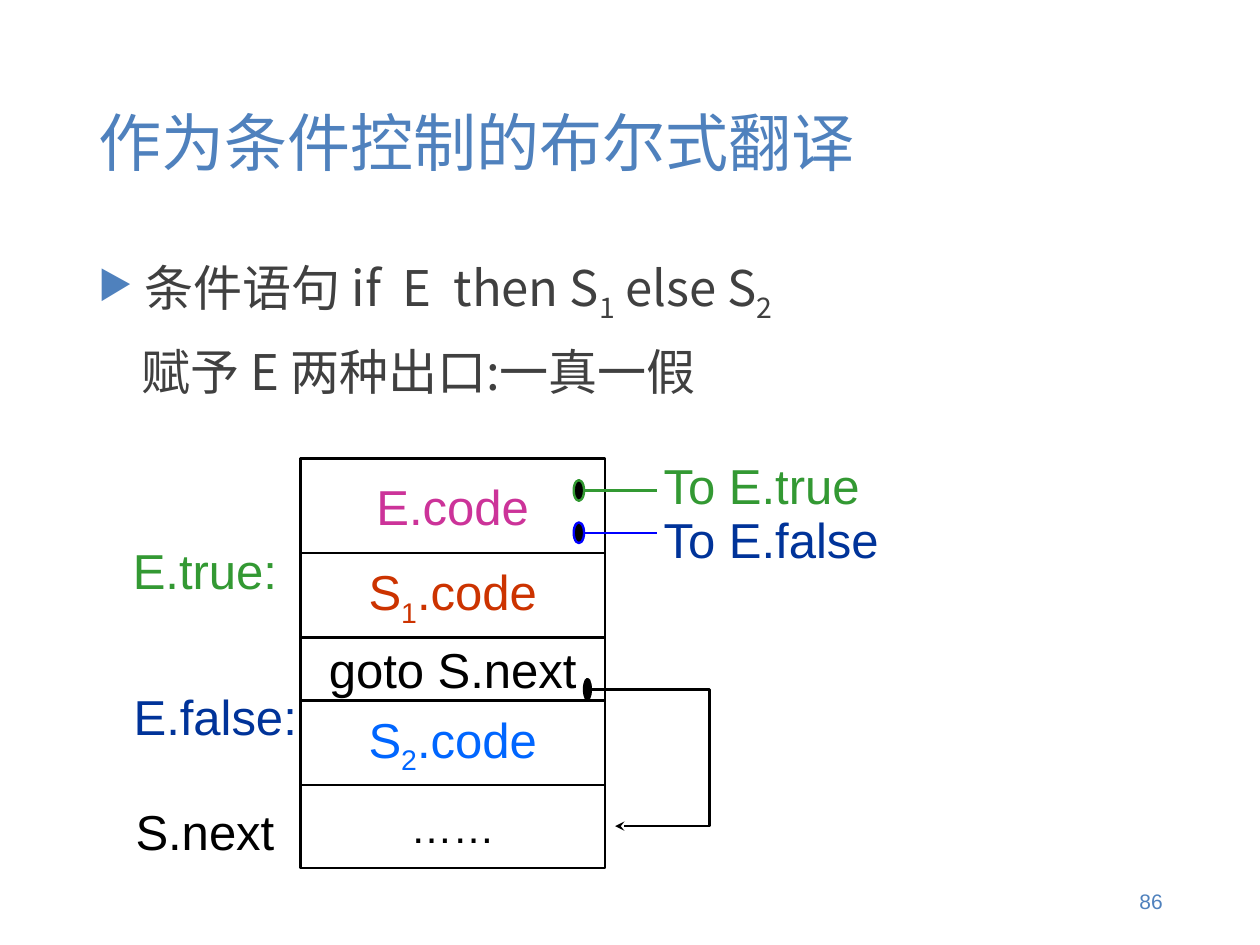
from dataclasses import dataclass

from lxml import etree
from pptx import Presentation
from pptx import util as u
from pptx.dml.color import RGBColor
from pptx.enum import shapes, text
from pptx.oxml.ns import qn


@dataclass(frozen=True)
class Theme:
    latin: str = "Arial"
    chinese: str = "Noto Sans CJK SC"
    accent: str = "4F81BD"
    body: str = "404040"
    black: str = "000000"
    green: str = "339933"
    navy: str = "003399"
    blue: str = "0000FF"
    sky: str = "0066FF"
    pink: str = "CC3399"
    red: str = "CC3300"
    title_size: float = 39.7
    main_size: float = 30.9
    dots_size: float = 26.5
    number_size: float = 13.2
    line_width: float = 1.5


THEME = Theme()
ALIGN = text.PP_ALIGN


def write(paragraph, content, size=THEME.main_size, font=THEME.latin,
          color=THEME.black, align=ALIGN.CENTER):
    """Write text; the character after each underscore is a subscript."""
    paragraph.alignment = align
    first, *rest = content.split("_")
    pieces = [(first, False)]
    for piece in rest:
        pieces += [(piece[0], True), (piece[1:], False)]
    for piece, subscript in pieces:
        if not piece:
            continue
        run = paragraph.add_run()
        run.text = piece
        run.font.size = u.Pt(size)
        run.font.name = font
        run.font.color.rgb = RGBColor.from_string(color)
        properties = run.font._element
        etree.SubElement(properties, qn("a:ea"), typeface=font)
        if subscript:
            properties.set("baseline", "-25000")


class SlideBuilder:
    def __init__(self, presentation, theme):
        self.theme = theme
        self.slide = presentation.slides.add_slide(presentation.slide_layouts[5])
        self.shapes = self.slide.shapes

    def place(self, box):
        return [u.Cm(length) for length in box]

    def outline(self, shape, color):
        shape.line.color.rgb = RGBColor.from_string(color)
        shape.line.width = u.Pt(self.theme.line_width)

    def title(self, content, box):
        shape = self.shapes.title
        shape.left, shape.top, shape.width, shape.height = self.place(box)
        frame = shape.text_frame
        frame.auto_size = text.MSO_AUTO_SIZE.NONE
        frame.vertical_anchor = text.MSO_ANCHOR.MIDDLE
        write(frame.paragraphs[0], content, size=self.theme.title_size,
              font=self.theme.chinese, color=self.theme.accent, align=ALIGN.LEFT)

    def body(self, bulleted, plain, box):
        frame = self.shapes.add_textbox(*self.place(box)).text_frame
        frame.word_wrap = True
        style = dict(font=self.theme.chinese, color=self.theme.body,
                     align=ALIGN.JUSTIFY)

        first = frame.paragraphs[0]
        properties = first._p.get_or_add_pPr()
        properties.set("marL", str(u.Cm(1.04)))
        properties.set("indent", str(u.Cm(-1.04)))
        bullet_color = etree.SubElement(properties, qn("a:buClr"))
        etree.SubElement(bullet_color, qn("a:srgbClr"), val=self.theme.accent)
        etree.SubElement(properties, qn("a:buSzPct"), val="80000")
        etree.SubElement(properties, qn("a:buChar"), char="▶")
        write(first, bulleted, **style)

        second = frame.add_paragraph()
        second._p.get_or_add_pPr().set("marL", str(u.Cm(0.97)))
        second.space_before = u.Pt(11)
        write(second, plain, **style)

    def label(self, content, box, wrap=False, **style):
        frame = self.shapes.add_textbox(*self.place(box)).text_frame
        frame.word_wrap = wrap
        frame.vertical_anchor = text.MSO_ANCHOR.MIDDLE
        write(frame.paragraphs[0], content, **style)

    def block(self, content, box, **style):
        shape = self.shapes.add_shape(shapes.MSO_SHAPE.RECTANGLE, *self.place(box))
        shape.shadow.inherit = False
        shape.fill.background()
        self.outline(shape, self.theme.black)
        frame = shape.text_frame
        frame.word_wrap = False
        frame.vertical_anchor = text.MSO_ANCHOR.MIDDLE
        write(frame.paragraphs[0], content, **style)

    def dot(self, box, color):
        shape = self.shapes.add_shape(shapes.MSO_SHAPE.OVAL, *self.place(box))
        shape.shadow.inherit = False
        shape.fill.solid()
        shape.fill.fore_color.rgb = RGBColor.from_string(self.theme.black)
        self.outline(shape, color)

    def line(self, start, end, color):
        connector = self.shapes.add_connector(
            shapes.MSO_CONNECTOR.STRAIGHT, *self.place(start + end))
        self.outline(connector, color)
        etree.SubElement(connector._element.spPr, qn("a:effectLst"))

    def arrow_path(self, points, color):
        start, *others = [self.place(point) for point in points]
        builder = self.shapes.build_freeform(*start)
        builder.add_line_segments(others, close=False)
        shape = builder.convert_to_shape()
        shape.shadow.inherit = False
        shape.fill.background()
        self.outline(shape, color)
        etree.SubElement(shape.line._get_or_add_ln(), qn("a:tailEnd"), type="stealth")


def main():
    presentation = Presentation()
    presentation.slide_width, presentation.slide_height = u.Cm(28), u.Cm(21)
    builder = SlideBuilder(presentation, THEME)

    # Title and statement
    builder.title("作为条件控制的布尔式翻译", (1.93, 1.12, 24.16, 4.06))
    builder.body("条件语句 if  E  then S_1 else S_2", "赋予 E 两种出口:一真一假",
                 (1.93, 5.59, 24.16, 13.34))

    # Stack of code blocks
    top = 10.19
    for content, height, color, size in (
        ("E.code", 2.1, THEME.pink, THEME.main_size),
        ("S_1.code", 1.88, THEME.red, THEME.main_size),
        ("goto S.next", 1.4, THEME.black, THEME.main_size),
        ("S_2.code", 1.87, THEME.sky, THEME.main_size),
        ("……", 1.85, THEME.black, THEME.dots_size),
    ):
        builder.block(content, (6.68, top, 6.76, height), color=color, size=size)
        top += height

    # Exits of E.code
    dot_height = 0.46
    for exit_y, color in ((10.9, THEME.green), (11.84, THEME.blue)):
        builder.line((12.98, exit_y), (14.61, exit_y), color)
        builder.dot((12.75, exit_y - dot_height / 2, 0.23, dot_height), color)

    # Jump from goto to S.next
    jump_y, next_y, turn_x = 15.32, 18.36, 15.77
    builder.arrow_path([(13.11, jump_y), (turn_x, jump_y),
                        (turn_x, next_y), (13.67, next_y)], THEME.black)
    builder.dot((12.98, jump_y - dot_height / 2, 0.15, dot_height), THEME.black)

    # Exit labels, wide enough for one line each
    for content, label_top, color in (
        ("To E.true", 9.96, THEME.green),
        ("To E.false", 11.15, THEME.navy),
    ):
        builder.label(content, (14.5, label_top, 6, 1.63), wrap=True,
                      color=color, align=ALIGN.LEFT)

    # Entry labels left of the stack
    for content, left, label_top, color in (
        ("E.true:", 2.46, 11.84, THEME.green),
        ("E.false:", 2.69, 15.09, THEME.navy),
        ("S.next", 2.46, 17.65, THEME.black),
    ):
        builder.label(content, (left, label_top, 4.19, 1.63), color=color)

    # Page number
    builder.label("86", (19.79, 19.46, 6.3, 1.12), wrap=True,
                  size=THEME.number_size, color=THEME.accent, align=ALIGN.RIGHT)

    presentation.save("out.pptx")


if __name__ == "__main__":
    main()
